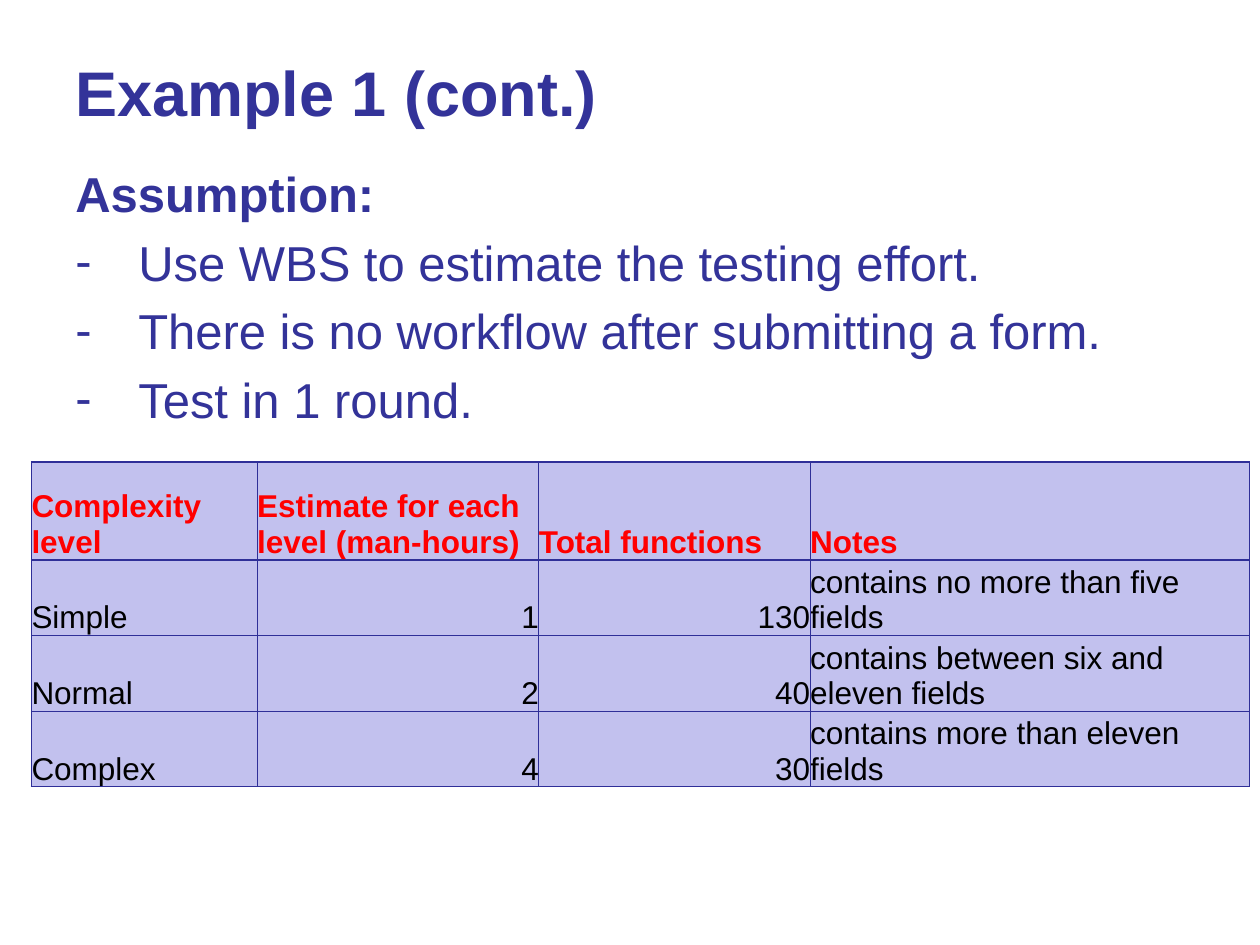
from dataclasses import dataclass

from lxml.etree import SubElement
from pptx import Presentation
from pptx.dml.color import RGBColor as RGB
from pptx.enum.text import MSO_ANCHOR as Anchor, PP_ALIGN as Align
from pptx.oxml.ns import qn
from pptx.util import Pt


@dataclass(frozen=True)
class Theme:
    """Colours, font and type sizes of the slide."""
    font: str = "Arial"
    ink: str = "333399"
    header: str = "FF0000"
    cell: str = "000000"
    fill: str = "C2C1EE"
    border: str = "2F2F98"
    title_size: int = 36
    body_size: int = 28
    table_size: int = 18


THEME = Theme()
ASSUMPTIONS = [
    "Use WBS to estimate the testing effort.",
    "There is no workflow after submitting a form.",
    "Test in 1 round.",
]
COLUMNS = [129, 161, 155, 251]
ROWS = [56, 31, 42, 31]
ESTIMATES = [
    ["Complexity level", "Estimate for each level (man-hours)", "Total functions", "Notes"],
    ["Simple", "1", "130", "contains no more than five fields"],
    ["Normal", "2", "40", "contains between six and eleven fields"],
    ["Complex", "4", "30", "contains more than eleven fields"],
]


def add_run(p, text, size, color, bold=False):
    """Add one styled run to a paragraph."""
    r = p.add_run()
    r.text = text
    r.font.name = THEME.font
    r.font.size = Pt(size)
    r.font.bold = bold
    r.font.color.rgb = RGB.from_string(color)


def add_text_frame(slide, box, anchor):
    """Add a wrapping text box and return its text frame."""
    tf = slide.shapes.add_textbox(*map(Pt, box)).text_frame
    tf.word_wrap = True
    tf.vertical_anchor = anchor
    return tf


def format_paragraph(p, indent, bullet=None):
    """Set a hanging indent, proportional space before and a bullet."""
    pPr = p._p.get_or_add_pPr()
    pPr.set("marL", str(Pt(indent)))
    pPr.set("indent", str(-Pt(indent)))
    space = SubElement(pPr, qn("a:spcBef"))
    SubElement(space, qn("a:spcPct")).set("val", "20000")
    if bullet:
        SubElement(pPr, qn("a:buFont")).set("typeface", THEME.font)
        SubElement(pPr, qn("a:buChar")).set("char", bullet)
    else:
        SubElement(pPr, qn("a:buNone"))


def add_title(slide, box, text):
    """Place the slide title in the box."""
    tf = add_text_frame(slide, box, Anchor.MIDDLE)
    add_run(tf.paragraphs[0], text, THEME.title_size, THEME.ink, True)


def add_body(slide, box, heading, items):
    """Place a bold heading and its dashed list in the box."""
    tf = add_text_frame(slide, box, Anchor.TOP)
    p = tf.paragraphs[0]
    format_paragraph(p, 27)
    add_run(p, heading, THEME.body_size, THEME.ink, True)
    for item in items:
        p = tf.add_paragraph()
        format_paragraph(p, 36, "-")
        add_run(p, item, THEME.body_size, THEME.ink)


def style_cell(cell):
    """Give a cell its borders, fill, zero margins and bottom anchor."""
    tcPr = cell._tc.get_or_add_tcPr()
    for side in ("lnL", "lnR", "lnT", "lnB"):
        ln = SubElement(tcPr, qn(f"a:{side}"), w=str(Pt(0.75)))
        fill = SubElement(ln, qn("a:solidFill"))
        SubElement(fill, qn("a:srgbClr"), val=THEME.border)
    cell.fill.solid()
    cell.fill.fore_color.rgb = RGB.from_string(THEME.fill)
    cell.margin_left = cell.margin_right = cell.margin_top = cell.margin_bottom = 0
    cell.vertical_anchor = Anchor.BOTTOM


def add_estimate_table(slide, left, top, columns, rows, data):
    """Place the estimate table with its top left corner at the given point."""
    table = slide.shapes.add_table(
        len(rows), len(columns), Pt(left), Pt(top), Pt(sum(columns)), Pt(sum(rows))
    ).table
    for column, width in zip(table.columns, columns):
        column.width = Pt(width)
    for i, (height, values) in enumerate(zip(rows, data)):
        table.rows[i].height = Pt(height)
        is_header = i == 0
        color = THEME.header if is_header else THEME.cell
        for j, value in enumerate(values):
            cell = table.cell(i, j)
            style_cell(cell)
            p = cell.text_frame.paragraphs[0]
            p.alignment = Align.RIGHT if value.isdigit() else Align.LEFT
            add_run(p, value, THEME.table_size, color, is_header)


def main():
    """Build the slide and save it."""
    prs = Presentation()
    prs.slide_width, prs.slide_height = Pt(720), Pt(540)
    slide = prs.slides.add_slide(prs.slide_layouts[6])
    add_title(slide, (36, 21.6, 648, 61.2), "Example 1 (cont.)")
    add_body(slide, (36, 90, 648, 374.4), "Assumption:", ASSUMPTIONS)
    add_estimate_table(slide, 18, 264, COLUMNS, ROWS, ESTIMATES)
    prs.save("out.pptx")


if __name__ == "__main__":
    main()
